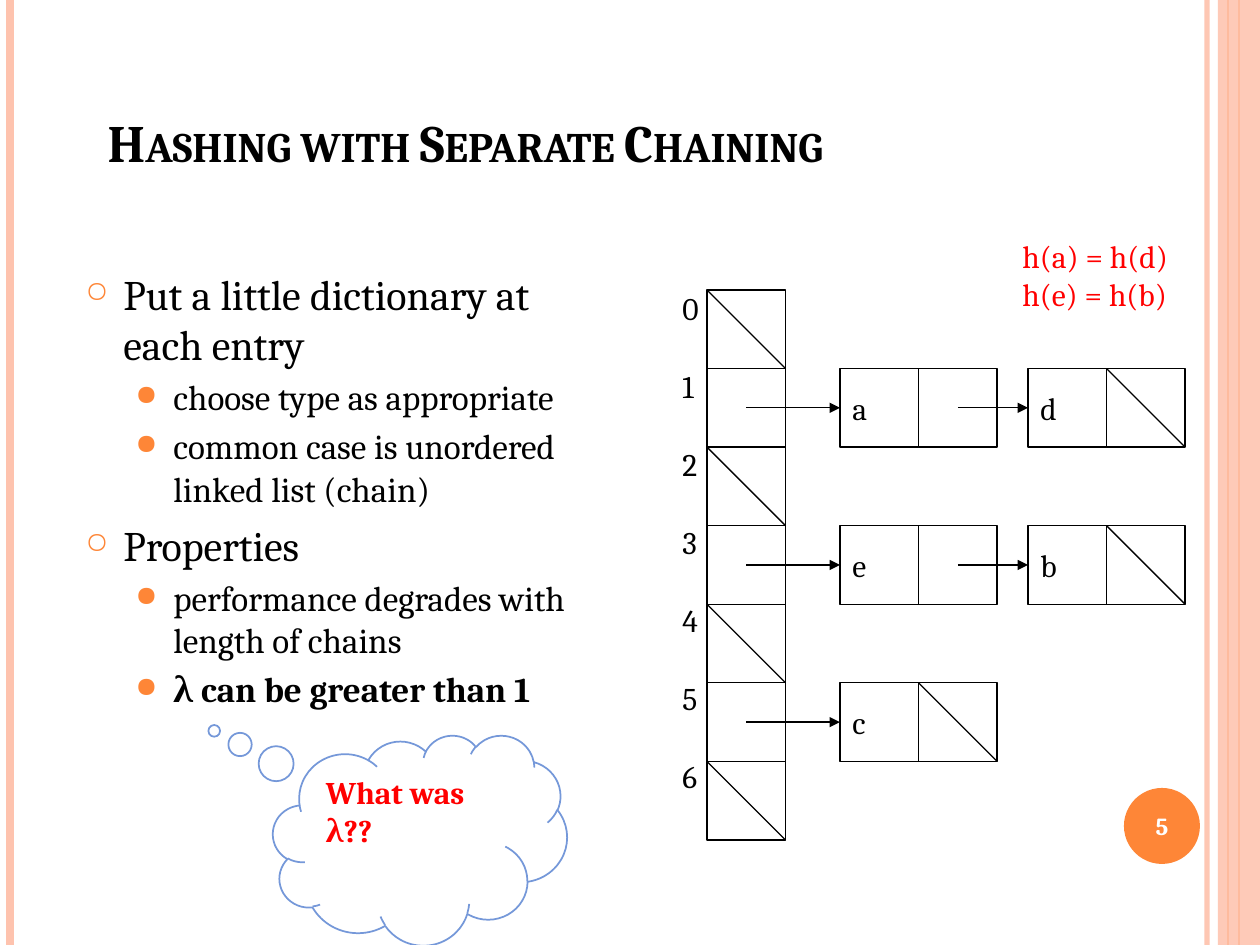
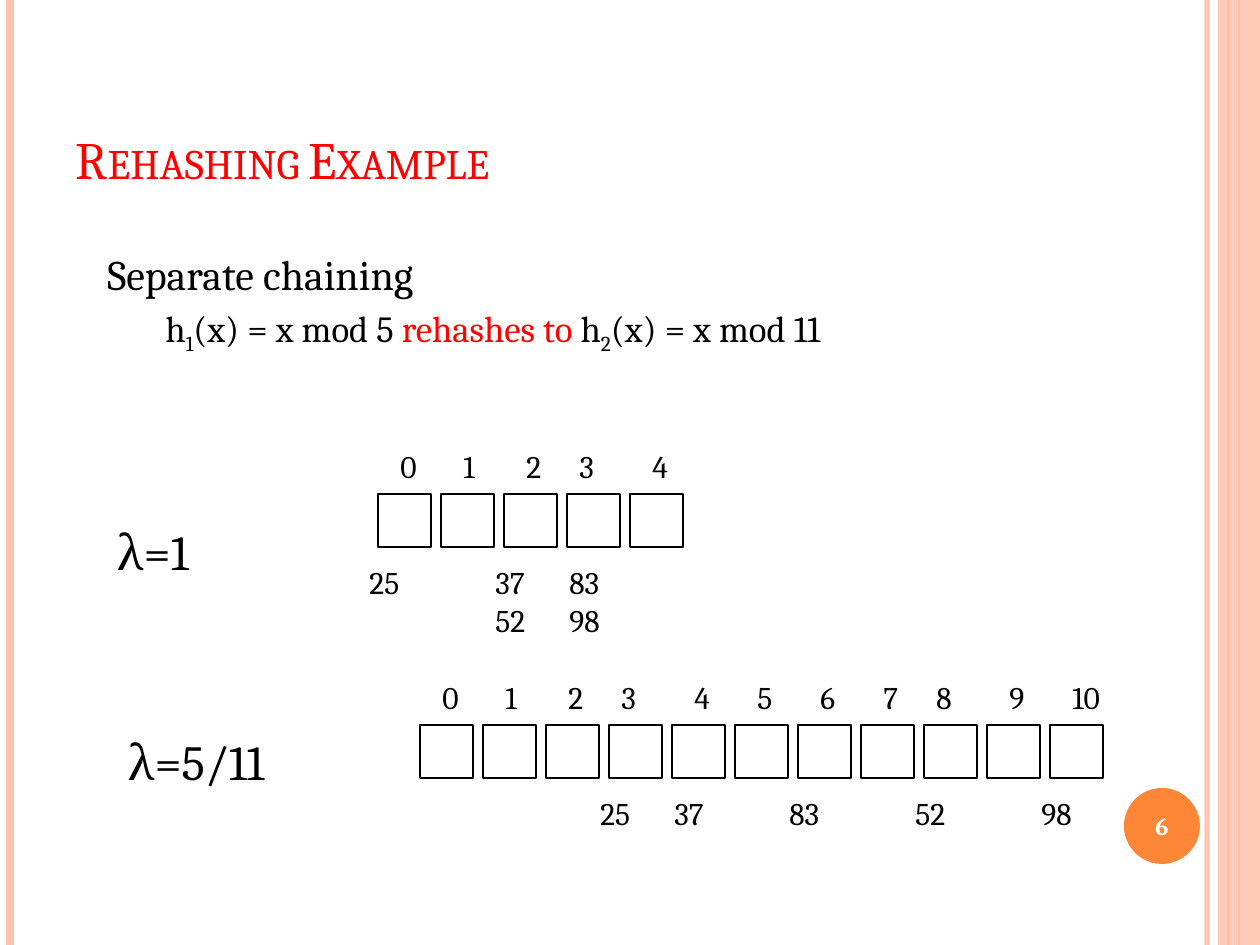
from lxml import etree
from pptx import Presentation
from pptx.dml.color import RGBColor
from pptx.enum.shapes import MSO_CONNECTOR, MSO_SHAPE
from pptx.enum.text import MSO_ANCHOR, MSO_AUTO_SIZE, PP_ALIGN
from pptx.oxml.ns import qn
from pptx.util import Pt

STRAIGHT = MSO_CONNECTOR.STRAIGHT
RECTANGLE, ELLIPSE, CLOUD = MSO_SHAPE.RECTANGLE, MSO_SHAPE.OVAL, MSO_SHAPE.CLOUD_CALLOUT
TOP, MIDDLE, BOTTOM = MSO_ANCHOR.TOP, MSO_ANCHOR.MIDDLE, MSO_ANCHOR.BOTTOM
LEFT, CENTER = PP_ALIGN.LEFT, PP_ALIGN.CENTER
NO_FIT, GROW = MSO_AUTO_SIZE.NONE, MSO_AUTO_SIZE.SHAPE_TO_FIT_TEXT

EMU_PER_PX = 914400 / 126
WIDTH, HEIGHT = 1260, 945
FONT = "Cambria"
COLORS = {
    "text": "000000", "red": "FF0000", "white": "FFFFFF",
    "orange": "FE8637", "peach": "FEC3AE", "cloud": "7598D9",
}

EDGE_LINES = [(1207, "peach", 3, 93), (10, "peach", 4.5, 100),
              (1239, "orange", 1.5, 100), (1228, "orange", 0.75, 100)]
SIDE_BAND = (1218, 0, 42, HEIGHT)
NUMBER_DISC = (1124, 788, 76, 76)
NUMBER_BOX = (1120, 790, 84, 72)

LEVELS = [
    {"margin": 38, "indent": -38, "before": 6, "size": 24, "bullet": "○", "bullet_size": 70},
    {"margin": 88, "indent": -38, "before": 4, "size": 20, "bullet": "●", "bullet_size": 80},
]

CHAINING = {
    "title": "Hashing with Separate Chaining",
    "body": [
        (0, "Put a little dictionary at each entry", False),
        (1, "choose type as appropriate", False),
        (1, "common case is unordered linked list (chain)", False),
        (0, "Properties", False),
        (1, "performance degrades with length of chains", False),
        (1, "λ can be greater than 1", True),
    ],
    "buckets": ["", "ad", "", "eb", "", "c", ""],
    "collisions": ["h(a) = h(d)", "h(e) = h(b)"],
    "thought": ["What was", "λ??"],
}
REHASHING = {
    "title": "Rehashing Example",
    "heading": "Separate chaining",
    "formula": [
        (" h", "text", 0), ("1", "text", -25), ("(x) = x mod 5 ", "text", 0),
        ("rehashes to", "red", 0),
        (" h", "text", 0), ("2", "text", -25), ("(x) = x mod 11", "text", 0),
    ],
    "tables": [
        {"load": "λ=1", "load_box": (105, 515, 147, 72), "left": 378, "top": 494, "size": 5,
         "values": {0: "25", 2: "37\n52", 3: "83\n98"}, "nudged": [3]},
        {"load": "λ=5/11", "load_box": (116, 725, 179, 72), "left": 420, "top": 725, "size": 11,
         "values": {3: "25", 4: "37", 6: "83", 8: "52", 10: "98"}, "nudged": [4]},
    ],
}

BUCKET_LEFT, BUCKET_TOP, BUCKETS_HEIGHT = 707, 290, 550
CELL = BUCKETS_HEIGHT / len(CHAINING["buckets"])
NODE_LEFT, NODE_STEP = 840, 188
SLOT, SLOT_PITCH = 53, 63


def px(value):
    return round(value * EMU_PER_PX)


def box(bounds):
    return [px(value) for value in bounds]


def rgb(color):
    return RGBColor.from_string(COLORS[color])


def set_alpha(shape, percent):
    for color in shape._element.spPr.iter(qn("a:srgbClr")):
        etree.SubElement(color, qn("a:alpha")).set("val", str(percent * 1000))


def add_run(paragraph, text, size, color="text", bold=False):
    run = paragraph.add_run()
    run.text = text
    font = run.font
    font.name, font.size, font.bold = FONT, Pt(size), bold
    font.color.rgb = rgb(color)
    return run


def add_paragraph(frame):
    first = frame.paragraphs[0]
    return frame.add_paragraph() if len(first.runs) else first


def write_lines(frame, lines, size, color="text", bold=False, align=LEFT):
    for line in lines:
        paragraph = add_paragraph(frame)
        paragraph.alignment = align
        add_run(paragraph, line, size, color, bold)


def add_frame(slide, bounds, wrap=True, fit=GROW, anchor=TOP):
    frame = slide.shapes.add_textbox(*box(bounds)).text_frame
    frame.word_wrap, frame.auto_size, frame.vertical_anchor = wrap, fit, anchor
    return frame


def add_label(slide, bounds, text, size=18, wrap=True):
    paragraph = add_frame(slide, bounds, wrap).paragraphs[0]
    for index, line in enumerate(text.split("\n")):
        if index:
            paragraph.add_line_break()
        add_run(paragraph, line, size)


def add_shape(slide, kind, bounds, fill=None, line=None, weight=0.75):
    shape = slide.shapes.add_shape(kind, *box(bounds))
    shape.shadow.inherit = False
    if fill:
        shape.fill.solid()
        shape.fill.fore_color.rgb = rgb(fill)
    else:
        shape.fill.background()
    if line:
        shape.line.color.rgb = rgb(line)
        shape.line.width = Pt(weight)
    else:
        shape.line.fill.background()
    return shape


def add_line(slide, start, end, color="text", weight=0.75, arrow=False):
    connector = slide.shapes.add_connector(STRAIGHT, *box(start + end))
    connector.line.color.rgb = rgb(color)
    connector.line.width = Pt(weight)
    if arrow:
        etree.SubElement(connector.line._get_or_add_ln(), qn("a:tailEnd")).set("type", "triangle")
    etree.SubElement(connector._element.spPr, qn("a:effectLst"))
    return connector


def format_level(paragraph, level, bulleted):
    style = LEVELS[level]
    paragraph.space_before = Pt(style["before"])
    properties = paragraph._p.get_or_add_pPr()
    properties.set("marL", str(px(style["margin"])))
    properties.set("indent", str(px(style["indent"])))
    if bulleted:
        color = etree.SubElement(properties, qn("a:buClr"))
        etree.SubElement(color, qn("a:srgbClr")).set("val", COLORS["orange"])
        etree.SubElement(properties, qn("a:buSzPct")).set("val", str(style["bullet_size"] * 1000))
        etree.SubElement(properties, qn("a:buChar")).set("char", style["bullet"])


def add_slide(presentation, title, title_bounds, number, color="text", bold=False):
    slide = presentation.slides.add_slide(presentation.slide_layouts[5])
    for x, line_color, weight, alpha in EDGE_LINES:
        line = add_line(slide, (x, 0), (x, HEIGHT), line_color, weight)
        if alpha < 100:
            set_alpha(line, alpha)
    set_alpha(add_shape(slide, RECTANGLE, SIDE_BAND, "peach"), 87)
    add_shape(slide, ELLIPSE, NUMBER_DISC, "orange")
    number_frame = add_frame(slide, NUMBER_BOX, fit=NO_FIT, anchor=MIDDLE)
    write_lines(number_frame, [str(number)], 14, "white", True, CENTER)

    heading = slide.shapes.title
    heading.left, heading.top, heading.width, heading.height = box(title_bounds)
    frame = heading.text_frame
    frame.word_wrap, frame.auto_size, frame.vertical_anchor = True, NO_FIT, BOTTOM
    paragraph = frame.paragraphs[0]
    paragraph.alignment = LEFT
    run = add_run(paragraph, title, 30, color, bold)
    run._r.get_or_add_rPr().set("cap", "small")
    return slide


def add_cell(slide, left, top, text="", slashed=False):
    shape = add_shape(slide, RECTANGLE, (left, top, CELL, CELL), line="text")
    if text:
        frame = shape.text_frame
        frame.word_wrap, frame.vertical_anchor = False, MIDDLE
        write_lines(frame, [text], 18)
    if slashed:
        add_line(slide, (left, top), (left + CELL, top + CELL))


def add_bucket(slide, index, keys):
    top = BUCKET_TOP + index * CELL
    middle = top + CELL / 2
    add_cell(slide, BUCKET_LEFT, top, slashed=not keys)
    add_label(slide, (670, 283 + index * 78, 42, 50), str(index), wrap=False)
    pointer = BUCKET_LEFT + CELL / 2
    for position, key in enumerate(keys):
        left = NODE_LEFT + position * NODE_STEP
        add_cell(slide, left, top, key)
        add_cell(slide, left + CELL, top, slashed=position == len(keys) - 1)
        add_line(slide, (pointer, middle), (left, middle), arrow=True)
        pointer = left + CELL * 1.5


def build_chaining(presentation):
    slide = add_slide(presentation, CHAINING["title"], (95, 21, 1071, 158), 5, bold=True)
    body = add_frame(slide, (73, 262, 557, 567), fit=NO_FIT)
    for level, text, bold in CHAINING["body"]:
        paragraph = add_paragraph(body)
        format_level(paragraph, level, True)
        add_run(paragraph, text, LEVELS[level]["size"], bold=bold)
    for index, keys in enumerate(CHAINING["buckets"]):
        add_bucket(slide, index, keys)
    collisions = add_frame(slide, (1010, 231, 208, 113), wrap=False)
    write_lines(collisions, CHAINING["collisions"], 18, "red")
    cloud = add_shape(slide, CLOUD, (273, 735, 294, 210), line="cloud", weight=1)
    cloud.adjustments[0], cloud.adjustments[1] = -0.7, -0.52
    cloud.text_frame.vertical_anchor = TOP
    write_lines(cloud.text_frame, CHAINING["thought"], 18, "red", True)


def add_hash_table(slide, table):
    add_label(slide, table["load_box"], table["load"], 28)
    top = table["top"]
    for index in range(table["size"]):
        left = table["left"] + index * SLOT_PITCH
        add_shape(slide, RECTANGLE, (left, top, SLOT, SLOT), line="text", weight=1)
        label_shift = 0 if index in (3, 8) else 10
        label_width = 42 if index < 10 else 73
        add_label(slide, (left + label_shift, top - 53, label_width, 50), str(index))
        if index in table["values"]:
            value_shift = 10 if table["nudged"] == [index] else 21
            add_label(slide, (left - value_shift, top + 63, 95, 50), table["values"][index])


def build_rehashing(presentation):
    slide = add_slide(presentation, REHASHING["title"], (63, 38, 1029, 158), 6, "red")
    body = add_frame(slide, (95, 242, 1071, 199), fit=NO_FIT)
    heading = body.paragraphs[0]
    format_level(heading, 0, False)
    add_run(heading, REHASHING["heading"], 24)
    formula = body.add_paragraph()
    format_level(formula, 1, False)
    for text, color, baseline in REHASHING["formula"]:
        run = add_run(formula, text, 21, color)
        if baseline:
            run._r.get_or_add_rPr().set("baseline", str(baseline * 1000))
    for table in REHASHING["tables"]:
        add_hash_table(slide, table)


def main():
    presentation = Presentation()
    presentation.slide_width, presentation.slide_height = px(WIDTH), px(HEIGHT)
    build_chaining(presentation)
    build_rehashing(presentation)
    presentation.save("out.pptx")


if __name__ == "__main__":
    main()
